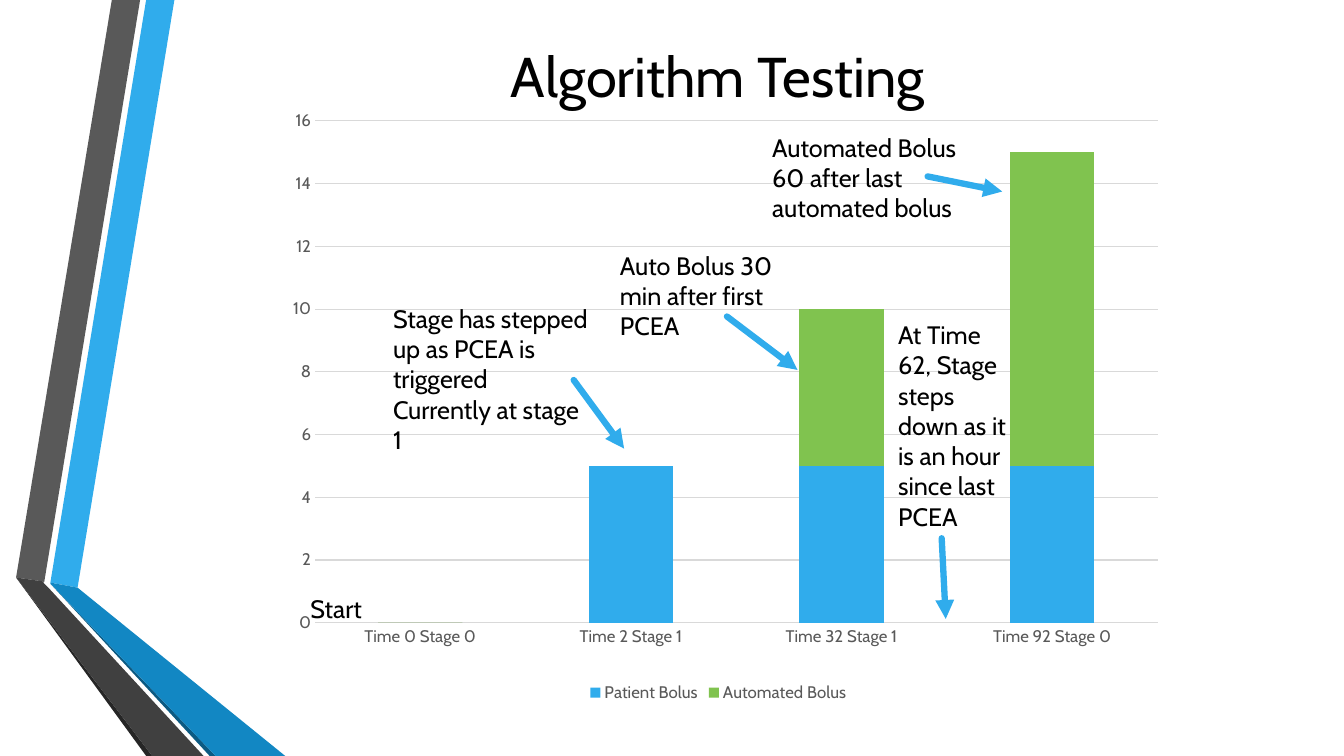
from dataclasses import dataclass

from lxml import etree
from pptx import Presentation, util as u
from pptx.chart.data import CategoryChartData
from pptx.dml.color import RGBColor
from pptx.enum import chart as charts, shapes, text
from pptx.oxml import parse_xml
from pptx.oxml.ns import nsdecls, qn

PX = 9144


@dataclass(frozen=True)
class Theme:
    font: str = "Cabin"
    ink: str = "000000"
    muted: str = "595959"
    grid: str = "D9D9D9"
    blue: str = "30ACEC"
    blue_mid: str = "1287C3"
    blue_dark: str = "0C5A82"
    gray_mid: str = "404040"
    gray_dark: str = "262626"
    green: str = "80C34F"
    orange: str = "E29D3E"
    title_size: int = 40
    note_size: int = 18
    chart_size: int = 12
    arrow_width: float = 4.5
    grid_width: float = 0.75


THEME = Theme()

RIBBONS = [
    (THEME.blue, [(50, 578), (77, 583), (173, 0), (145, 0)]),
    (THEME.muted, [(139, 0), (111, 0), (16, 573), (44, 577)]),
    (THEME.gray_dark, [(16, 573), (145, 750), (151, 750)]),
    (THEME.blue_dark, [(50, 579), (208, 750), (214, 750)]),
    (THEME.blue_mid, [(50, 578), (50, 579), (214, 750), (283, 750), (77, 583)]),
    (THEME.gray_mid, [(202, 750), (48, 583), (43, 578), (44, 577), (16, 573), (151, 750)]),
]

CATEGORIES = ["Time 0 Stage 0", "Time 2 Stage 1", "Time 32 Stage 1", "Time 92 Stage 0"]
SERIES = [
    ("Patient Bolus", (0, 5, 5, 5), THEME.blue),
    ("Automated Bolus", (0, None, 5, 10), THEME.green),
    ("Series 3", (0, None, 0, 0), THEME.orange),
]
PLOT_LAYOUT = {"x": 0.05, "y": 0.02, "w": 0.94, "h": 0.84}

NOTES = [
    ((112, 188, 214, 162), ["Stage has stepped up as PCEA is triggered", "Currently at stage 1"]),
    ((30, 476, 92, 40), ["Start"]),
    ((337, 135, 214, 71), ["Auto Bolus 30 min after first PCEA"]),
    ((613, 204, 130, 222), ["At Time 62, Stage steps down as it is an hour since last PCEA"]),
    ((488, 18, 214, 101), ["Automated Bolus 60 after last automated bolus"]),
]
ARROWS = [
    ((301, 269), (351, 337)),
    ((453, 206), (523, 259)),
    ((666, 426), (670, 506)),
    ((652, 67), (726, 82)),
]


def px(*lengths):
    return [u.Emu(length * PX) for length in lengths]


def rgb(color):
    return RGBColor.from_string(color)


def style_font(font, size, color):
    font.name = THEME.font
    font.size = u.Pt(size)
    font.color.rgb = rgb(color)


def add_text(slide, box, paragraphs, size):
    shape = slide.shapes.add_textbox(*px(*box))
    frame = shape.text_frame
    frame.word_wrap = True
    for index, words in enumerate(paragraphs):
        paragraph = frame.paragraphs[0] if index == 0 else frame.add_paragraph()
        run = paragraph.add_run()
        run.text = words
        style_font(run.font, size, THEME.ink)
    return frame


def add_ribbons(slide, box):
    left, top = box[:2]
    for color, points in RIBBONS:
        corners = [(left + x, top + y) for x, y in points]
        builder = slide.shapes.build_freeform(*corners[0], scale=PX)
        builder.add_line_segments(corners[1:], close=True)
        shape = builder.convert_to_shape()
        shape.shadow.inherit = False
        shape.fill.solid()
        shape.fill.fore_color.rgb = rgb(color)
        shape.line.fill.background()


def add_title(slide, box):
    frame = add_text(slide, box, ["Algorithm Testing"], THEME.title_size)
    frame.vertical_anchor = text.MSO_ANCHOR.MIDDLE
    frame.paragraphs[0].alignment = text.PP_ALIGN.CENTER


def set_plot_layout(chart):
    plot_area = chart.plots[0]._element.getparent()
    for layout in plot_area.findall(qn("c:layout")):
        plot_area.remove(layout)
    settings = {"layoutTarget": "inner", "xMode": "edge", "yMode": "edge", **PLOT_LAYOUT}
    children = "".join(f'<c:{name} val="{value}"/>' for name, value in settings.items())
    layout = f'<c:layout {nsdecls("c")}><c:manualLayout>{children}</c:manualLayout></c:layout>'
    plot_area.insert(0, parse_xml(layout))


def add_legend(chart, hidden_index):
    chart.has_legend = True
    legend = chart.legend
    legend.position = charts.XL_LEGEND_POSITION.BOTTOM
    legend.include_in_layout = False
    style_font(legend.font, THEME.chart_size, THEME.muted)
    entry = f'<c:legendEntry {nsdecls("c")}><c:idx val="{hidden_index}"/><c:delete val="1"/></c:legendEntry>'
    legend._element.find(qn("c:legendPos")).addnext(parse_xml(entry))


def style_axes(chart):
    category_axis, value_axis = chart.category_axis, chart.value_axis
    for axis in (category_axis, value_axis):
        axis.major_tick_mark = axis.minor_tick_mark = charts.XL_TICK_MARK.NONE
        style_font(axis.tick_labels.font, THEME.chart_size, THEME.muted)
    value_axis.minimum_scale, value_axis.maximum_scale = 0, 16
    value_axis.major_unit = 2
    value_axis.has_major_gridlines = True
    value_axis.format.line.fill.background()
    for line in (category_axis.format.line, value_axis.major_gridlines.format.line):
        line.color.rgb = rgb(THEME.grid)
        line.width = u.Pt(THEME.grid_width)


def add_bolus_chart(slide, box):
    data = CategoryChartData()
    data.categories = CATEGORIES
    for name, values, _ in SERIES:
        data.add_series(name, values)
    chart = slide.shapes.add_chart(charts.XL_CHART_TYPE.COLUMN_STACKED, *px(*box), data).chart
    chart.has_title = False
    style_font(chart.font, THEME.chart_size, THEME.muted)
    plot = chart.plots[0]
    plot.gap_width, plot.overlap = 150, 100
    plot.vary_by_categories = False
    for series, (_, _, color) in zip(plot.series, SERIES):
        series.format.fill.solid()
        series.format.fill.fore_color.rgb = rgb(color)
    style_axes(chart)
    add_legend(chart, len(SERIES) - 1)
    set_plot_layout(chart)


def add_arrow(slide, start, end):
    arrow = slide.shapes.add_connector(shapes.MSO_CONNECTOR.STRAIGHT, *px(*start, *end))
    arrow.line.color.rgb = rgb(THEME.blue)
    arrow.line.width = u.Pt(THEME.arrow_width)
    properties = arrow._element.spPr
    line = properties.find(qn("a:ln"))
    line.set("cap", "rnd")
    etree.SubElement(line, qn("a:tailEnd"), type="triangle")
    etree.SubElement(properties, qn("a:effectLst"))


def add_annotations(slide, box):
    left, top = box[:2]
    for start, end in ARROWS:
        add_arrow(slide, *((left + x, top + y) for x, y in (start, end)))
    for (x, y, width, height), paragraphs in NOTES:
        frame = add_text(slide, (left + x, top + y, width, height), paragraphs, THEME.note_size)
        frame.auto_size = text.MSO_AUTO_SIZE.SHAPE_TO_FIT_TEXT


def main():
    presentation = Presentation()
    presentation.slide_width, presentation.slide_height = px(1333, 750)
    slide = presentation.slides.add_slide(presentation.slide_layouts[6])
    chart_box = (268, 108, 889, 593)
    add_ribbons(slide, (0, 0, 283, 750))
    add_title(slide, (164, 0, 1096, 150))
    add_bolus_chart(slide, chart_box)
    add_annotations(slide, chart_box)
    presentation.save("out.pptx")


if __name__ == "__main__":
    main()
